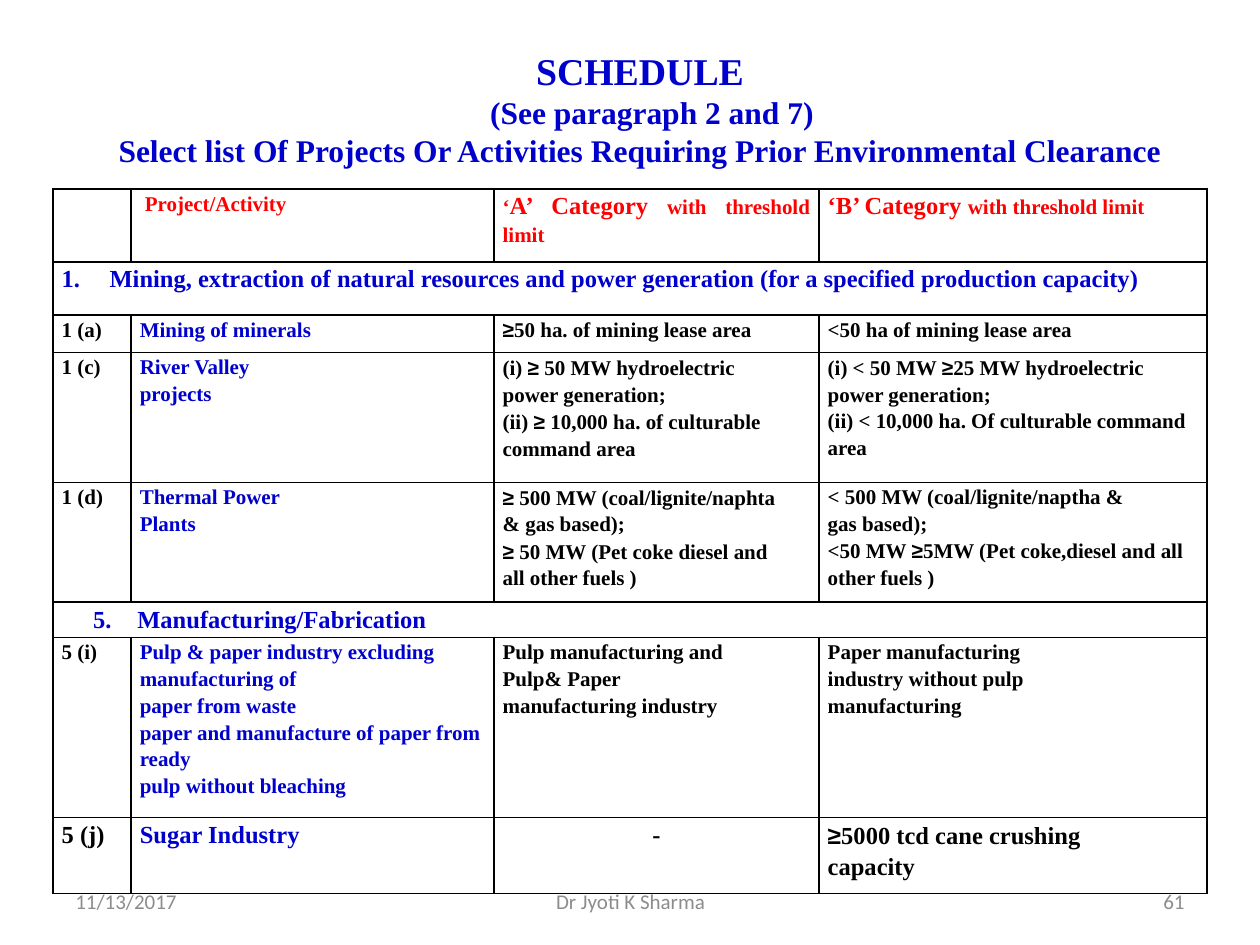
from dataclasses import dataclass

from lxml import etree
from pptx import Presentation, util as u
from pptx.dml.color import RGBColor
from pptx.enum import text
from pptx.oxml import ns


@dataclass(frozen=True)
class Theme:
    """Colours, fonts and type sizes of the slide."""
    blue: str = "0000CC"
    red: str = "FF0000"
    black: str = "000000"
    grey: str = "8C8C8C"
    serif: str = "Times New Roman"
    sans: str = "Calibri"
    symbol: str = "Arial"
    title: float = 21.6
    subtitle: float = 18
    large: float = 14
    small: float = 12


T = Theme()
ALIGN = text.PP_ALIGN
COLS = [0.62, 2.88, 2.58, 3.08]
HEADER = [
    [],
    [("Project/Activity", T.small)],
    [("‘", T.small), ("A’ Category", T.large), (" with threshold limit", T.small)],
    [("‘B’ Category ", T.large), ("with threshold limit", T.small)],
]
SECTIONS = {
    1: (1, 0.38, 0.38, "Mining, extraction of natural resources and power generation "
                       "(for a specified production capacity)"),
    5: (5, 0.6, 0.35, "Manufacturing/Fabrication"),
}
ENTRIES = {
    2: (T.small, ["1 (a)", "Mining of minerals", "≥50 ha. of mining lease area",
                  "<50 ha of mining lease area"]),
    3: (T.small, ["1 (c)", "River Valley\nprojects",
                  "(i) ≥ 50 MW hydroelectric\npower generation;\n"
                  "(ii) ≥ 10,000 ha. of culturable\ncommand area",
                  "(i) < 50 MW ≥25 MW hydroelectric\npower generation;\n"
                  "(ii) < 10,000 ha. Of culturable command area"]),
    4: (T.small, ["1 (d)", "Thermal Power\nPlants",
                  "≥ 500 MW (coal/lignite/naphta\n& gas based);\n"
                  "≥ 50 MW (Pet coke diesel and\nall other fuels )",
                  "< 500 MW (coal/lignite/naptha &\ngas based);\n"
                  "<50 MW ≥5MW (Pet coke,diesel and all other fuels )"]),
    6: (T.small, ["5 (i)",
                  "Pulp & paper industry excluding manufacturing of\npaper from waste\n"
                  "paper and manufacture of paper from ready\npulp without bleaching",
                  "Pulp manufacturing and\nPulp& Paper\nmanufacturing industry",
                  "Paper manufacturing\nindustry without pulp\nmanufacturing"]),
    7: (T.large, ["5 (j)", "Sugar Industry", "-", "≥5000 tcd cane crushing\ncapacity"]),
}
ROWS = [0.58, 0.42, 0.3, 1.03, 0.95, 0.28, 1.43, 0.6]


def add_text(p, words, *, size, color, font=T.serif, bold=True):
    """Append words to a paragraph, with the sign ≥ in the symbol font."""
    for part in words.replace("≥", "\n≥\n").split("\n"):
        if part:
            r = p.add_run()
            r.text = part
            r.font.name = T.symbol if part == "≥" else font
            r.font.size = u.Pt(size)
            r.font.bold = bold
            r.font.color.rgb = RGBColor.from_string(color)


def set_indent(p, left, hanging=0):
    """Set the left margin and hanging indent of a paragraph in inches."""
    pPr = p._p.get_or_add_pPr()
    pPr.set("marL", str(u.Inches(left)))
    pPr.set("indent", str(-u.Inches(hanging)))
    return pPr


def add_paragraph(tf, index):
    """Return the first paragraph of a frame, or a new one after it."""
    return tf.add_paragraph() if index else tf.paragraphs[0]


def build_title(s, left, top, width, height):
    """Fill the title placeholder with its three centred lines."""
    sp = s.shapes.title
    sp.left, sp.top, sp.width, sp.height = map(u.Inches, (left, top, width, height))
    tf = sp.text_frame
    tf.word_wrap = True
    tf.auto_size = text.MSO_AUTO_SIZE.NONE
    tf.vertical_anchor = text.MSO_ANCHOR.MIDDLE
    lines = [
        ("SCHEDULE", T.title, 0),
        ("(See paragraph 2 and 7)", T.subtitle, 0.19),
        ("Select list Of Projects Or Activities Requiring Prior Environmental Clearance",
         T.subtitle, 0),
    ]
    for i, (words, size, indent) in enumerate(lines):
        p = add_paragraph(tf, i)
        p.alignment = ALIGN.CENTER
        p.space_before = u.Pt(0)
        set_indent(p, indent)
        add_text(p, words, size=size, color=T.blue)


def style_cell(cell):
    """Give a cell its margins, thin black borders and no fill."""
    cell.margin_left = cell.margin_right = u.Inches(0.07)
    cell.margin_top = cell.margin_bottom = 0
    tcPr = cell._tc.get_or_add_tcPr()
    for side in ("lnL", "lnR", "lnT", "lnB"):
        ln = etree.SubElement(tcPr, ns.qn(f"a:{side}"), w=str(u.Pt(1)))
        fill = etree.SubElement(ln, ns.qn("a:solidFill"))
        etree.SubElement(fill, ns.qn("a:srgbClr"), val=T.black)
    cell.fill.background()


def cell_paragraph(cell, index=0, alignment=ALIGN.JUSTIFY):
    """Return a spaced and aligned paragraph of a cell."""
    p = add_paragraph(cell.text_frame, index)
    p.line_spacing = 1.15
    p.alignment = alignment
    return p


def fill_header(table):
    """Write the red column headings."""
    for col, parts in enumerate(HEADER):
        p = cell_paragraph(table.cell(0, col))
        if col == 1:
            set_indent(p, 0.04)
        for words, size in parts:
            add_text(p, words, size=size, color=T.red)


def fill_section(table, row, number, left, hanging, words):
    """Write a numbered heading across a whole row."""
    cell = table.cell(row, 0)
    cell.merge(table.cell(row, len(COLS) - 1))
    p = cell_paragraph(cell)
    pPr = set_indent(p, left, hanging)
    etree.SubElement(pPr, ns.qn("a:buFont"), typeface=T.serif)
    etree.SubElement(pPr, ns.qn("a:buAutoNum"), type="arabicPeriod", startAt=str(number))
    add_text(p, words, size=T.large, color=T.blue)


def fill_entry(table, row, size, cells):
    """Write one project with its two thresholds."""
    for col, words in enumerate(cells):
        lines = words.split("\n")
        align = ALIGN.LEFT if len(lines) > 1 else ALIGN.JUSTIFY
        if words == "-":
            align = ALIGN.CENTER
        for i, line in enumerate(lines):
            p = cell_paragraph(table.cell(row, col), i, align)
            add_text(p, line, size=size, color=T.blue if col == 1 else T.black)


def build_table(s, left, top, width, height):
    """Place the schedule of projects in the given box."""
    box = map(u.Inches, (left, top, width, height))
    table = s.shapes.add_table(len(ROWS), len(COLS), *box).table
    table.first_row = table.horz_banding = False
    for column, size in zip(table.columns, COLS):
        column.width = u.Inches(size)
    for row, size in zip(table.rows, ROWS):
        row.height = u.Inches(size)
    for cell in table.iter_cells():
        style_cell(cell)
    fill_header(table)
    for row, section in SECTIONS.items():
        fill_section(table, row, *section)
    for row, entry in ENTRIES.items():
        fill_entry(table, row, *entry)


def build_footer(s, top, height):
    """Place the date, the speaker and the page number."""
    items = [("11/13/2017", 0.5, 2.33, ALIGN.LEFT),
             ("Dr Jyoti K Sharma", 3.42, 3.17, ALIGN.CENTER),
             ("61", 7.17, 2.33, ALIGN.RIGHT)]
    for words, left, width, align in items:
        tf = s.shapes.add_textbox(*map(u.Inches, (left, top, width, height))).text_frame
        tf.word_wrap = True
        tf.vertical_anchor = text.MSO_ANCHOR.MIDDLE
        p = tf.paragraphs[0]
        p.alignment = align
        add_text(p, words, size=T.small, color=T.grey, font=T.sans, bold=False)


def main():
    """Build the slide and save it."""
    prs = Presentation()
    prs.slide_width, prs.slide_height = u.Inches(10), u.Inches(7.5)
    s = prs.slides.add_slide(prs.slide_layouts[5])
    build_title(s, 0.33, 0.3, 9.5, 1.12)
    build_table(s, 0.42, 1.5, sum(COLS), sum(ROWS))
    build_footer(s, 6.95, 0.4)
    prs.save("out.pptx")


if __name__ == "__main__":
    main()
